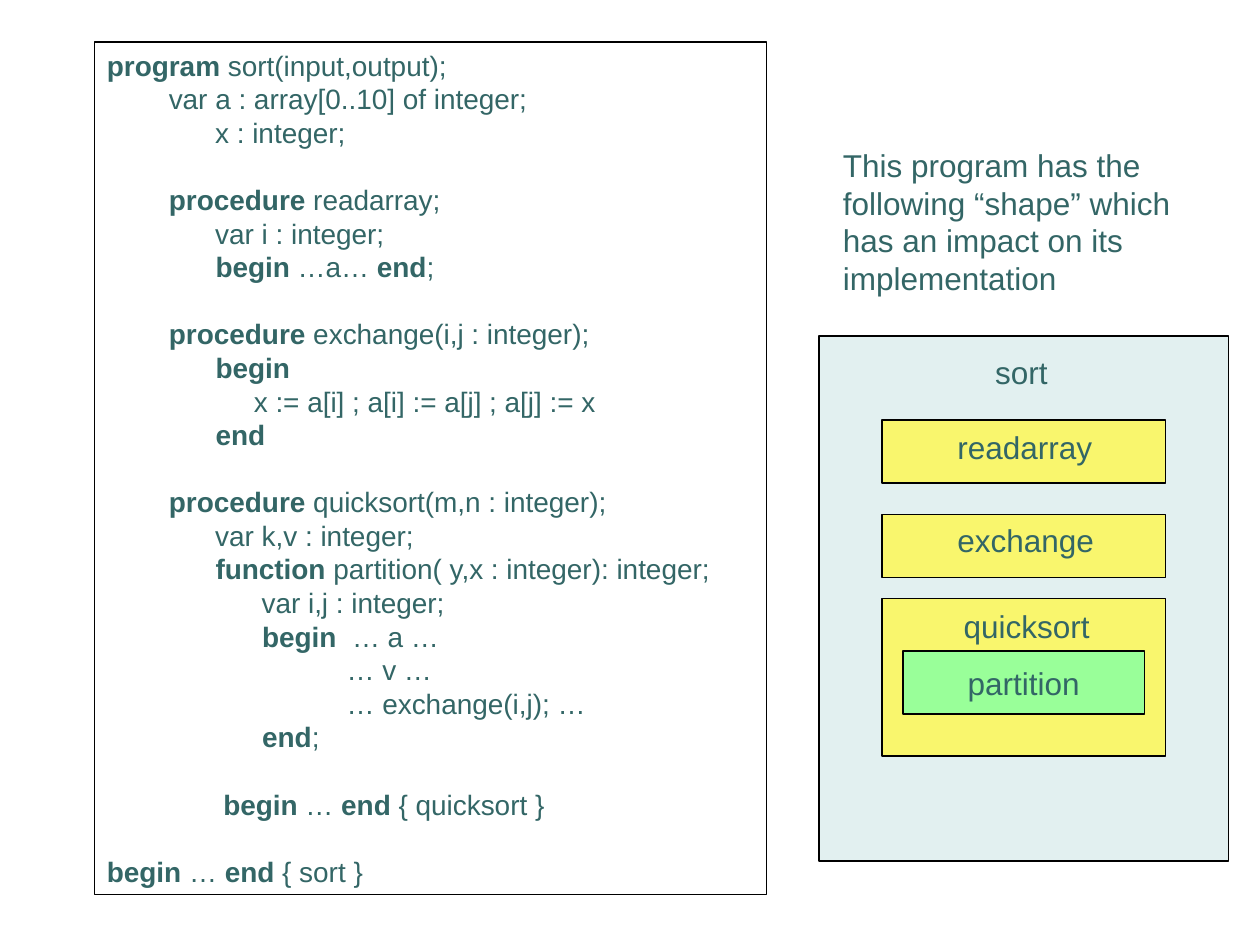
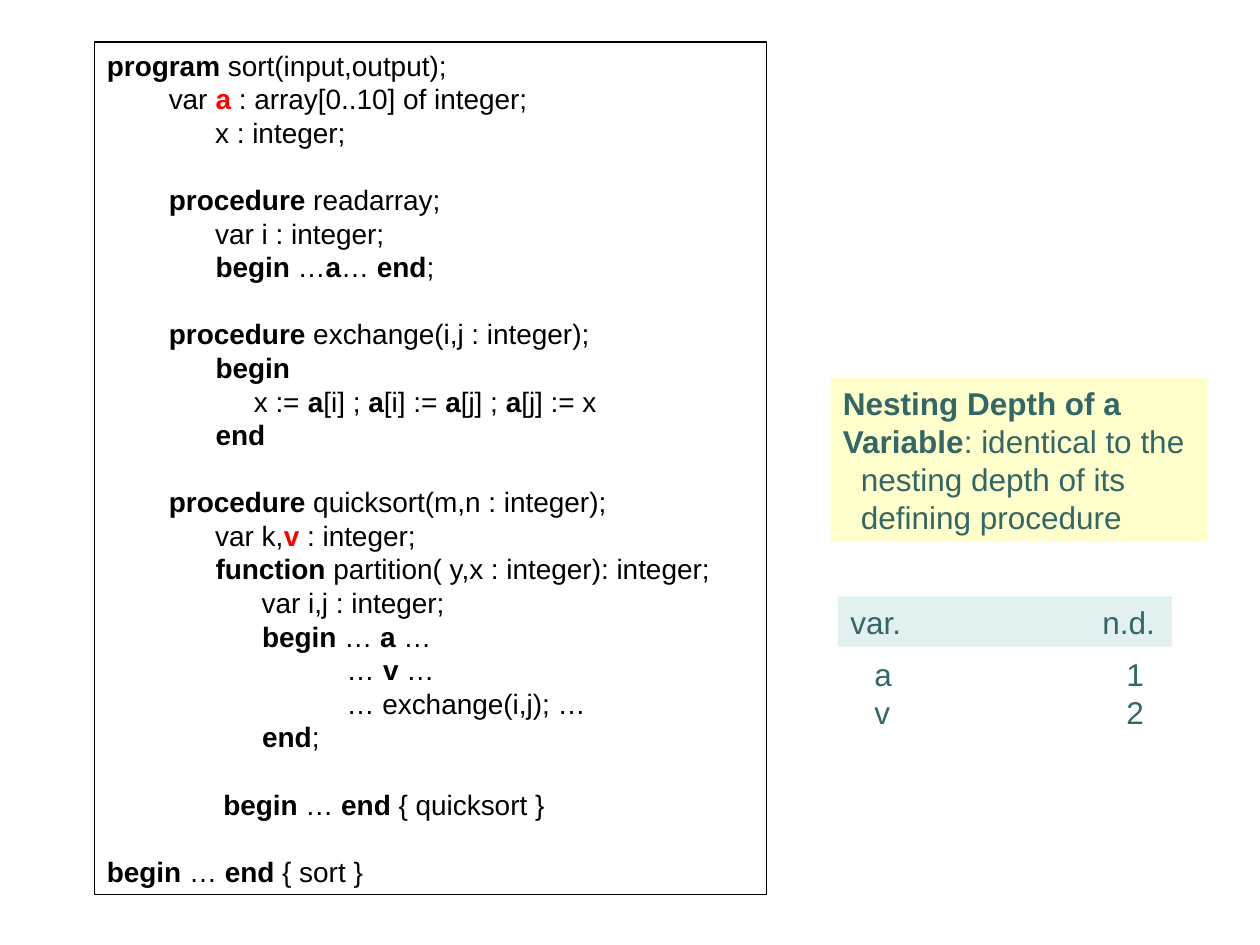
from pptx import Presentation
from pptx.dml.color import RGBColor
from pptx.enum import shapes, text
from pptx.oxml import parse_xml
from pptx.oxml.ns import nsdecls
from pptx.util import Emu, Pt

# Shared style: 120 px to the inch
PX = 914400 // 120
FONT = "Arial"
TEAL, BLACK, RED = "336666", "000000", "FF0000"
PALE_BLUE, YELLOW, GREEN, CREAM = "E2F0F0", "F9F66D", "99FF99", "FFFFCC"
LEADING = 1.2

# |word| is a keyword, |!x| a declaration and |~x| a use of a variable
SORT_PROGRAM = """\
|program| sort(input,output);
        var |!a| : array[0..10] of integer;
              x : integer;

        |procedure| readarray;
              var i : integer;
              |begin| …|~a|… |end|;

        |procedure| exchange(i,j : integer);
              |begin|
                   x := |~a|[i] ; |~a|[i] := |~a|[j] ; |~a|[j] := x
              |end|

        |procedure| quicksort(m,n : integer);
              var k,|!v| : integer;
              |function| partition( y,x : integer): integer;
                    var i,j : integer;
                    |begin| … |~a| …
                               … |~v| …
                               … exchange(i,j); …
                    |end|;

               |begin| … |end| { quicksort }

|begin| … |end| { sort }"""


def px(n):
    return Emu(n * PX)


def rgb(color):
    return RGBColor.from_string(color)


def add_run(p, words, size=18, color=TEAL, bold=False):
    r = p.add_run()
    r.text = words
    r.font.name, r.font.size, r.font.bold = FONT, Pt(size), bold
    r.font.color.rgb = rgb(color)


def add_marked_line(p, line, size, color, show_variables):
    for i, part in enumerate(line.split("|")):
        if not part:
            continue
        variable = i % 2 == 1 and part[0] in "!~"
        declared = variable and part[0] == "!" and show_variables
        add_run(p, part[1:] if variable else part, size,
                RED if declared else color,
                bold=i % 2 == 1 and (show_variables or not variable))


def write_text(sp, content, size=18, color=TEAL, align=text.PP_ALIGN.LEFT,
               anchor=text.MSO_ANCHOR.TOP, wrap=False, grow=True,
               show_variables=False, indent_from=None, tab=None):
    """Fill a shape line by line; an empty line becomes space before the next."""
    tf = sp.text_frame
    tf.word_wrap, tf.vertical_anchor = wrap, anchor
    tf.auto_size = (text.MSO_AUTO_SIZE.SHAPE_TO_FIT_TEXT if grow
                    else text.MSO_AUTO_SIZE.NONE)
    p, gap = tf.paragraphs[0], False
    for i, line in enumerate(content.split("\n")):
        if not line:
            gap = True
            continue
        if i:
            p = tf.add_paragraph()
        pPr = p._p.get_or_add_pPr()
        if indent_from is not None and i >= indent_from:
            pPr.set("marL", str(px(17)))
        if tab:
            pPr.append(parse_xml(f'<a:tabLst {nsdecls("a")}>'
                                 f'<a:tab pos="{px(tab)}" algn="l"/></a:tabLst>'))
        p.alignment = align
        p.line_spacing = Pt(size * LEADING)
        if gap:
            p.space_before = Pt(size * LEADING)
            gap = False
        add_marked_line(p, line, size, color, show_variables)


def add_box(container, x, y, w, h, fill=None, outlined=True):
    sp = container.add_shape(shapes.MSO_SHAPE.RECTANGLE, px(x), px(y), px(w), px(h))
    sp.shadow.inherit = False
    if fill:
        sp.fill.solid()
        sp.fill.fore_color.rgb = rgb(fill)
    else:
        sp.fill.background()
    if outlined:
        sp.line.color.rgb, sp.line.width = rgb(BLACK), Pt(0.75)
    else:
        sp.line.fill.background()
    return sp


def add_label(container, words, x, y, w, h=48, **style):
    write_text(container.add_textbox(px(x), px(y), px(w), px(h)), words, **style)


def add_listing(slide, code, **style):
    write_text(add_box(slide.shapes, 90, 40, 640, 812), code,
               size=16, wrap=True, **style)


def add_nesting_diagram(slide):
    blocks = slide.shapes.add_group_shape().shapes
    add_box(blocks, 780, 320, 390, 500, PALE_BLUE)
    for y, h in ((400, 60), (490, 60), (570, 150)):
        add_box(blocks, 840, y, 270, h, YELLOW)
    write_text(add_box(blocks, 860, 620, 230, 60, GREEN), "partition", grow=False,
               align=text.PP_ALIGN.CENTER, anchor=text.MSO_ANCHOR.MIDDLE)
    for name, x, y, w in (("quicksort", 906, 572, 148), ("exchange", 900, 490, 158),
                          ("readarray", 900, 402, 156), ("sort", 936, 330, 78)):
        add_label(blocks, name, x, y, w)


def build_shape_slide(slide):
    # This listing sets two spaces after the begin of partition
    add_listing(slide, SORT_PROGRAM.replace("|begin| … |~a|", "|begin|  … |~a|"))
    add_label(slide.shapes, "This program has the\nfollowing “shape” which\n"
              "has an impact on its\nimplementation", 791, 133, 336, 156)
    add_nesting_diagram(slide)


def build_depth_slide(slide):
    # Definition
    write_text(add_box(slide.shapes, 791, 360, 359, 156, CREAM, outlined=False),
               "|Nesting Depth of a|\n|Variable|: identical to the\n"
               "nesting depth of its\ndefining procedure", indent_from=2)
    add_listing(slide, SORT_PROGRAM, color=BLACK, show_variables=True)
    # Depth of each variable
    add_label(slide.shapes, "a\t1\nv\t2", 821, 618, 284, 84, tab=240)
    write_text(add_box(slide.shapes, 798, 568, 318, 48, PALE_BLUE, outlined=False),
               "var.\tn.d.", wrap=True, grow=False, tab=240)


def main():
    prs = Presentation()
    prs.slide_width, prs.slide_height = px(1200), px(900)
    for build in (build_shape_slide, build_depth_slide):
        build(prs.slides.add_slide(prs.slide_layouts[6]))
    prs.save("out.pptx")


if __name__ == "__main__":
    main()
